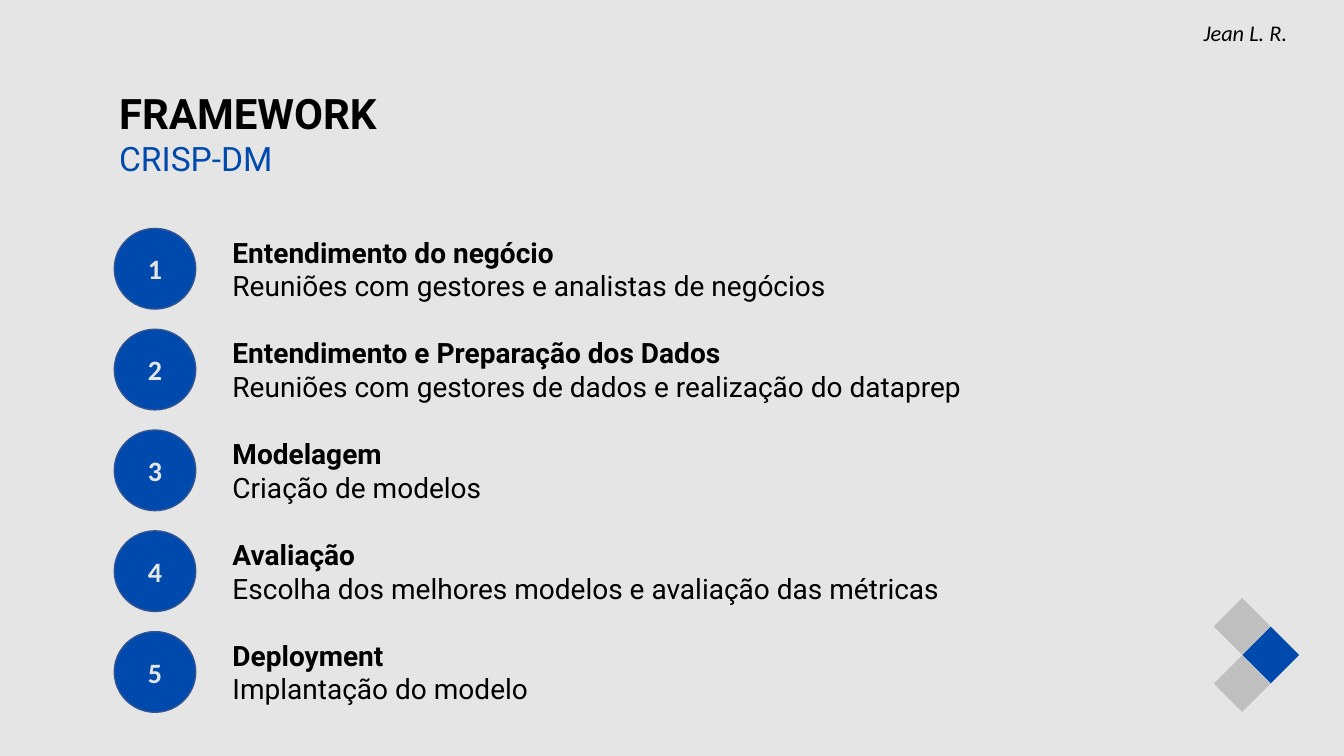
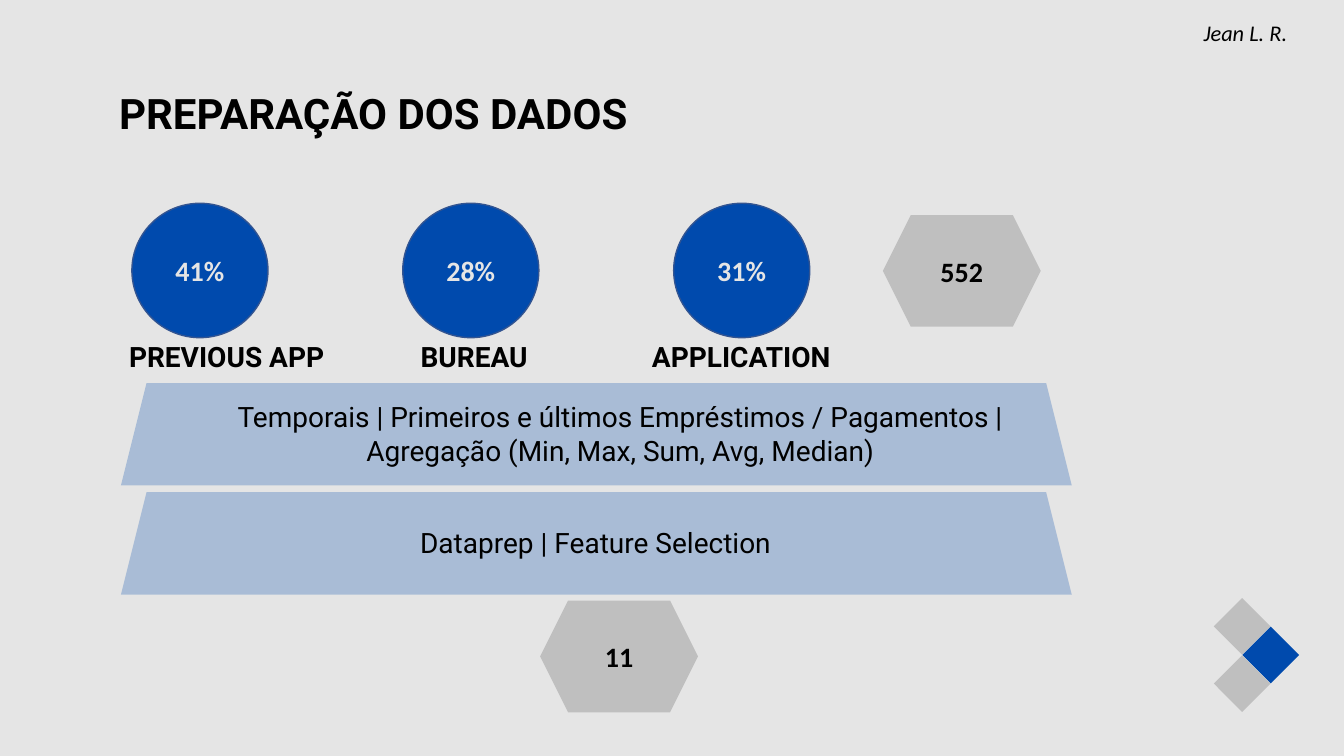
"""Build two slides on the CRISP-DM framework and its data preparation."""
from dataclasses import dataclass

from lxml.etree import SubElement
from pptx import Presentation
from pptx.dml.color import RGBColor
from pptx.enum.shapes import MSO_SHAPE as Kind
from pptx.enum.text import MSO_ANCHOR as Anchor, PP_ALIGN as Align
from pptx.oxml.ns import qn
from pptx.shapes.autoshape import Shape
from pptx.slide import Slide
from pptx.text.text import TextFrame
from pptx.util import Inches, Pt

WIDE, HIGH = Inches(13.333), Inches(7.5)
COLS, ROWS = 160, 90
BLUE, EDGE, GRAY, PALE, BLACK = "004AAD", "325491", "BFBFBF", "E5E5E5", "000000"
HEAD, BODY = "Roboto", "Calibri"


@dataclass(frozen=True)
class Area:
    col: float
    row: float
    wide: float
    high: float

    def place(self) -> tuple[int, int, int, int]:
        x, y = WIDE / COLS, HIGH / ROWS
        return round(self.col * x), round(self.row * y), round(self.wide * x), round(self.high * y)


@dataclass(frozen=True)
class Line:
    text: str
    size: int = 20
    bold: bool = False
    color: str = BLACK
    font: str = HEAD
    slant: bool = False


@dataclass(frozen=True)
class Step:
    name: str
    task: str


@dataclass(frozen=True)
class Source:
    name: str
    share: str
    col: float
    wide: float


STEPS = (
    Step("Entendimento do negócio", "Reuniões com gestores e analistas de negócios"),
    Step("Entendimento e Preparação dos Dados", "Reuniões com gestores de dados e realização do dataprep"),
    Step("Modelagem", "Criação de modelos"),
    Step("Avaliação", "Escolha dos melhores modelos e avaliação das métricas"),
    Step("Deployment", "Implantação do modelo"),
)
SOURCES = (
    Source("PREVIOUS APP", "41%", 12.6, 28.8),
    Source("BUREAU", "28%", 44.4, 24.1),
    Source("APPLICATION", "31%", 76.2, 24.1),
)


def tint(code: str) -> RGBColor:
    return RGBColor.from_string(code)


def write(frame: TextFrame, lines: tuple[Line, ...], align: Align) -> None:
    frame.word_wrap = True
    for i, line in enumerate(lines):
        para = frame.paragraphs[0] if i == 0 else frame.add_paragraph()
        para.alignment = align
        run = para.add_run()
        run.text = line.text
        font = run.font
        font.name, font.size = line.font, Pt(line.size)
        font.bold, font.italic = line.bold, line.slant
        font.color.rgb = tint(line.color)


def text(slide: Slide, area: Area, *lines: Line, align: Align = Align.LEFT) -> None:
    write(slide.shapes.add_textbox(*area.place()).text_frame, lines, align)


def draw(shapes, kind: Kind, area: Area, fill: str, edge: str = "") -> Shape:
    shape = shapes.add_shape(kind, *area.place())
    shape.shadow.inherit = False
    shape.fill.solid()
    shape.fill.fore_color.rgb = tint(fill)
    if edge:
        shape.line.color.rgb = tint(edge)
        shape.line.width = Pt(1)
    else:
        shape.line.fill.background()
    return shape


def badge(slide: Slide, kind: Kind, area: Area, label: str, fill: str, ink: str, edge: str = "") -> None:
    frame = draw(slide.shapes, kind, area, fill, edge).text_frame
    frame.vertical_anchor = Anchor.MIDDLE
    write(frame, (Line(label, bold=True, color=ink, font=BODY),), Align.CENTER)


def disc(slide: Slide, area: Area, label: str) -> None:
    badge(slide, Kind.FLOWCHART_CONNECTOR, area, label, BLUE, PALE, EDGE)


def count(slide: Slide, col: float, row: float, label: str) -> None:
    badge(slide, Kind.HEXAGON, Area(col, row, 18.8, 13.3), label, GRAY, BLACK)


def band(slide: Slide, row: float) -> None:
    shape = draw(slide.shapes, Kind.TRAPEZOID, Area(14.4, row, 113.2, 12.2), BLUE)
    color = shape.element.spPr.find(".//" + qn("a:srgbClr"))
    SubElement(color, qn("a:alpha"), val="26000")


def page(deck, title: str, under: str = "") -> Slide:
    slide = deck.slides.add_slide(deck.slide_layouts[6])
    back = slide.background.fill
    back.solid()
    back.fore_color.rgb = tint(PALE)
    group = slide.shapes.add_group_shape()
    for i, fill in enumerate((GRAY, BLUE, GRAY)):
        draw(group.shapes, Kind.DIAMOND, Area(144.5 + 3.4 * (i % 2), 71.2 + 3.4 * i, 6.75, 6.75), fill)
    lines = [Line(title, 30, True)]
    if under:
        lines.append(Line(under, 24, color=BLUE))
    text(slide, Area(13, 9.8, 112.5, 12.1 if under else 7.3), *lines)
    text(slide, Area(142.1, 1.7, 13.4, 4.4), Line("Jean L. R.", 16, font=BODY, slant=True))
    return slide


def frame_page(deck) -> None:
    slide = page(deck, "FRAMEWORK", "CRISP-DM")
    for i, step in enumerate(STEPS):
        row = 27.2 + 12 * i
        disc(slide, Area(13.6, row, 9.7, 9.6), str(i + 1))
        text(slide, Area(26.5, row + 0.2, 111.1, 9.2), Line(step.name, bold=True), Line(step.task))


def data_page(deck) -> None:
    slide = page(deck, "PREPARAÇÃO DOS DADOS")
    for row in (45.6, 58.6):
        band(slide, row)
    for i, item in enumerate(SOURCES):
        disc(slide, Area(15.7 + 32.25 * i, 24.2, 16.2, 16), item.share)
        text(slide, Area(item.col, 39.8, item.wide, 5.3), Line(item.name, bold=True), align=Align.CENTER)
    count(slide, 105.1, 25.6, "552")
    count(slide, 64.3, 71.5, "11")
    text(
        slide, Area(12.6, 47, 122.5, 9.2),
        Line("Temporais | Primeiros e últimos Empréstimos / Pagamentos |"),
        Line("Agregação (Min, Max, Sum, Avg, Median)"),
        align=Align.CENTER,
    )
    text(slide, Area(45.9, 62, 50, 5.3), Line("Dataprep | Feature Selection"), align=Align.CENTER)


def main() -> None:
    deck = Presentation()
    deck.slide_width, deck.slide_height = WIDE, HIGH
    frame_page(deck)
    data_page(deck)
    deck.save("out.pptx")


if __name__ == "__main__":
    main()
